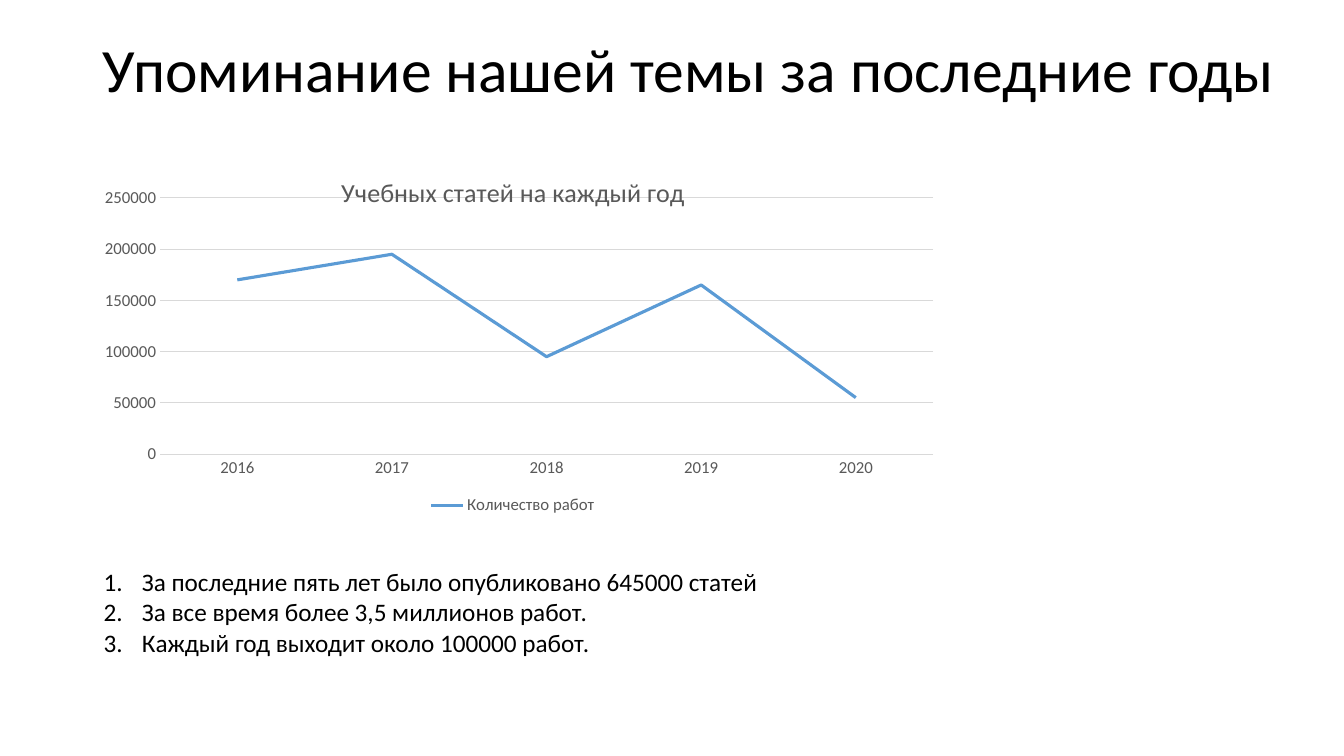
"""Builds a slide on yearly article counts: title, line chart and numbered notes."""
from lxml import etree
from pptx import Presentation
from pptx.chart.data import CategoryChartData as Data
from pptx.dml.color import RGBColor as RGB
from pptx.enum.chart import XL_CHART_TYPE as Kind, XL_LEGEND_POSITION as Side, XL_TICK_MARK as Tick
from pptx.enum.text import MSO_ANCHOR as Anchor
from pptx.oxml import parse_xml
from pptx.oxml.ns import nsdecls, qn
from pptx.util import Inches, Pt

HUES = {"ink": "000000", "gray": "595959", "grid": "D9D9D9", "line": "5B9BD5"}


def style(font, size, hue):
    for key, val in {"name": "Calibri", "size": Pt(size), "bold": False}.items():
        setattr(font, key, val)
    font.color.rgb = RGB.from_string(HUES[hue])


def stroke(line, width, hue):
    line.width = Pt(width)
    line.color.rgb = RGB.from_string(HUES[hue])


deck = Presentation()
deck.slide_width, deck.slide_height = Inches(13.33), Inches(7.5)
slide = deck.slides.add_slide(deck.slide_layouts[6])

notes = [
    "За последние пять лет было опубликовано 645000 статей",
    "За все время более 3,5 миллионов работ.",
    "Каждый год выходит около 100000 работ.",
]
texts = [
    ((0.92, 0, 11.86, 1.44), ["Упоминание нашей темы за последние годы"], 44, Anchor.MIDDLE, 0.9, False),
    ((0.93, 5.57, 7.23, 1.01), notes, 18, Anchor.TOP, 1, True),
]
for spot, lines, size, anchor, gap, listed in texts:
    frame = slide.shapes.add_textbox(*map(Inches, spot)).text_frame
    frame.word_wrap = True
    frame.vertical_anchor = anchor
    frame.text = "\n".join(lines)
    for para in frame.paragraphs:
        para.line_spacing = gap
        style(para.runs[0].font, size, "ink")
        if listed:
            props = para._p.get_or_add_pPr()
            props.set("marL", str(Inches(0.38)))
            props.set("indent", str(-Inches(0.38)))
            etree.SubElement(props, qn("a:buFont")).set("typeface", "+mj-lt")
            etree.SubElement(props, qn("a:buAutoNum")).set("type", "arabicPeriod")

data = Data(number_format="General")
data.categories = [str(year) for year in range(2016, 2021)]
data.add_series("Количество работ", [170000, 195000, 95000, 165000, 55000])
spot = map(Inches, (0.92, 1.57, 8.34, 3.58))
chart = slide.shapes.add_chart(Kind.LINE, *spot, data).chart
style(chart.font, 10, "ink")

chart.has_title = True
title = chart.chart_title
title.text_frame.text = "Учебных статей на каждый год"
style(title.text_frame.paragraphs[0].runs[0].font, 18.6, "gray")

chart.has_legend = True
legend = chart.legend
legend.position = Side.BOTTOM
legend.include_in_layout = False
style(legend.font, 12, "gray")

years, counts = chart.category_axis, chart.value_axis
for axis in (years, counts):
    axis.major_tick_mark = axis.minor_tick_mark = Tick.NONE
    style(axis.tick_labels.font, 12, "gray")
stroke(years.format.line, 0.75, "grid")
counts.format.line.fill.background()
stroke(counts.major_gridlines.format.line, 0.75, "grid")
for key, val in {"minimum_scale": 0, "maximum_scale": 250000, "major_unit": 50000}.items():
    setattr(counts, key, val)

plot = chart.plots[0]
plot.vary_by_categories = False
series = plot.series[0]
series.smooth = False
stroke(series.format.line, 2.25, "line")

area = chart._chartSpace.chart.plotArea
head = title._element
places = [
    (area, 0, {"x": 0.08, "y": 0.11, "w": 0.92, "h": 0.71}),
    (head, 1, {"x": 0.29, "y": 0.03}),
]
for node, rank, box in places:
    for old in node.findall(qn("c:layout")):
        node.remove(old)
    inner = '<c:layoutTarget val="inner"/>' if node is area else ""
    modes = "".join(f'<c:{key}Mode val="edge"/>' for key in "xy")
    sizes = "".join(f'<c:{key} val="{val}"/>' for key, val in box.items())
    xml = f"<c:layout {nsdecls('c')}><c:manualLayout>{inner}{modes}{sizes}</c:manualLayout></c:layout>"
    node.insert(rank, parse_xml(xml))
title.include_in_layout = True
for node in head.findall(qn("c:overlay")):
    node.set("val", "1")

deck.save("out.pptx")
